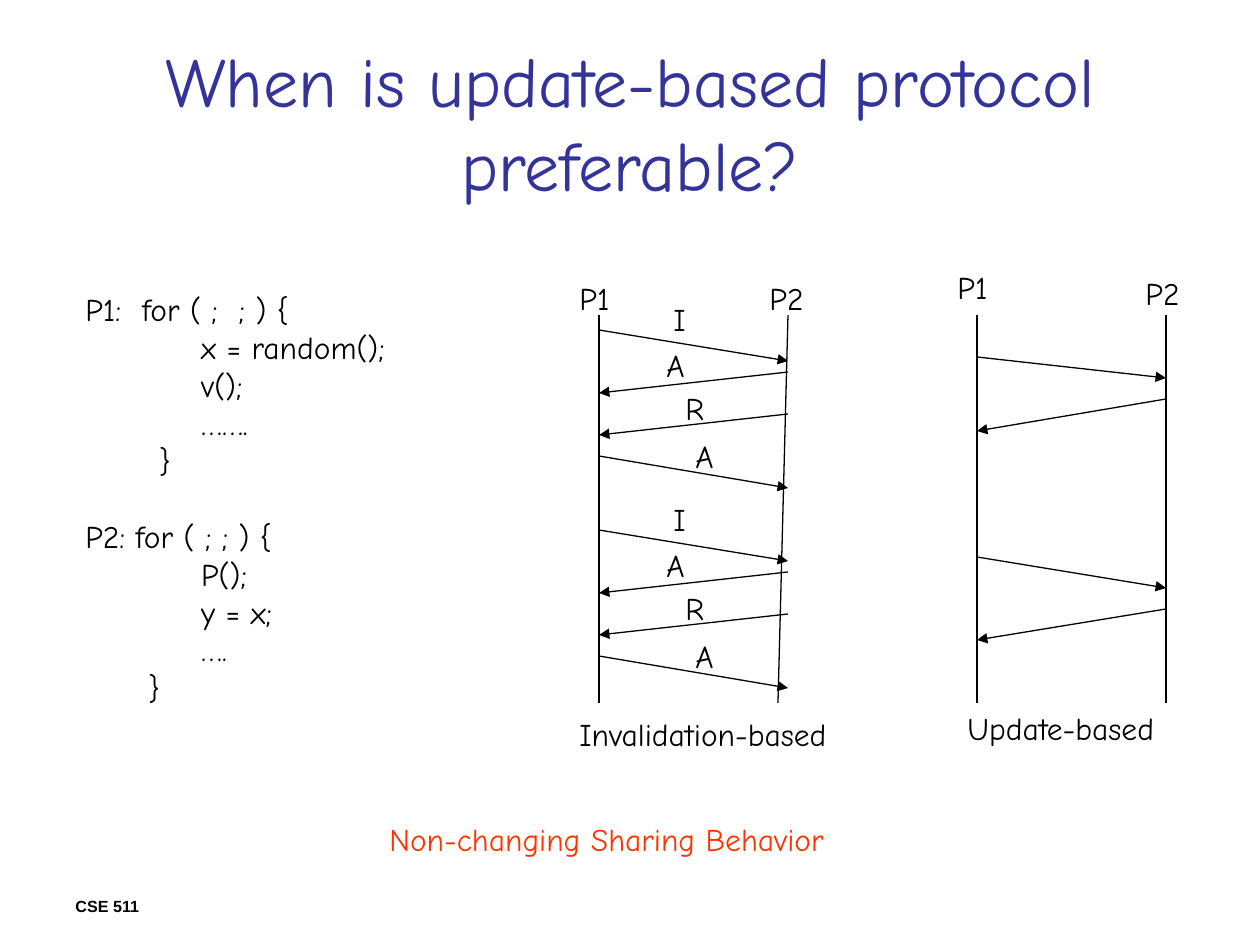
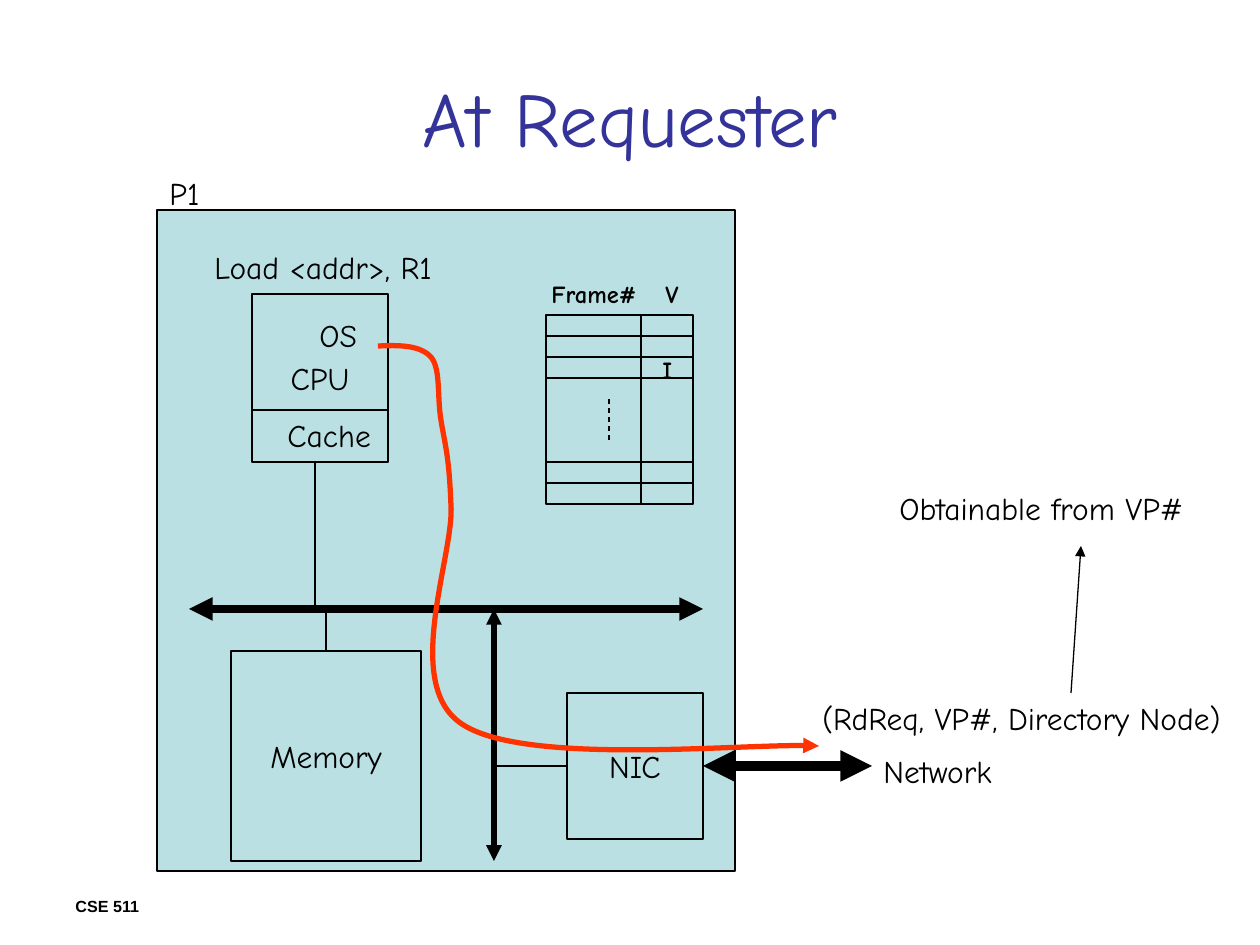
import lxml.etree
import pptx
import pptx.dml.color
import pptx.enum.dml
import pptx.enum.shapes
import pptx.enum.text
import pptx.oxml.ns
import pptx.util

SCALE = 914400 / 126  # EMU in one px
SLIDE_W, SLIDE_H = 1260, 945
INK, TITLE, ACCENT, PANEL = "000000", "333399", "FF3300", "BBE0E3"
BODY_FONT, FOOTER_FONT = "Comic Neue", "Arial"
THIN = 0.75
LINE_H = 50  # height of a one-line label
ALIGN = pptx.enum.text.PP_ALIGN
ANCHOR = pptx.enum.text.MSO_ANCHOR
qn = pptx.oxml.ns.qn


def px(n):
    return pptx.util.Emu(round(n * SCALE))


def rgb(value):
    return pptx.dml.color.RGBColor.from_string(value)


def write(tf, text, size=18, color=INK, font=BODY_FONT, bold=False, align=ALIGN.LEFT,
          anchor=ANCHOR.TOP, wrap=True, spacing=None):
    """Fill a text frame, one paragraph for each line of text."""
    tf.word_wrap = wrap
    tf.vertical_anchor = anchor
    for i, line in enumerate(text.split("\n")):
        p = tf.paragraphs[0] if i == 0 else tf.add_paragraph()
        p.alignment = align
        if spacing:
            p.line_spacing = spacing
        r = p.add_run()
        r.text = line
        r.font.name = font
        r.font.size = pptx.util.Pt(size)
        r.font.bold = bold
        r.font.color.rgb = rgb(color)


def label(shapes, text, x, y, w, h=LINE_H, **fmt):
    sp = shapes.add_textbox(px(x), px(y), px(w), px(h))
    write(sp.text_frame, text, **fmt)
    return sp


def rect(shapes, x, y, w, h, text=None):
    sp = shapes.add_shape(pptx.enum.shapes.MSO_SHAPE.RECTANGLE, px(x), px(y), px(w), px(h))
    sp.shadow.inherit = False
    sp.fill.solid()
    sp.fill.fore_color.rgb = rgb(PANEL)
    sp.line.color.rgb = rgb(INK)
    sp.line.width = pptx.util.Pt(THIN)
    if text:
        write(sp.text_frame, text, align=ALIGN.CENTER, anchor=ANCHOR.MIDDLE, wrap=False)
    return sp


def stroke(sp, color=INK, width=THIN, dash=False, head=False, tail=False):
    """Style a line or outline; head and tail put arrowheads at its start and end."""
    sp.line.color.rgb = rgb(color)
    sp.line.width = pptx.util.Pt(width)
    if dash:
        sp.line.dash_style = pptx.enum.dml.MSO_LINE.DASH
    ln = sp.element.spPr.find(qn("a:ln"))
    for tag, wanted in (("a:headEnd", head), ("a:tailEnd", tail)):
        if wanted:
            lxml.etree.SubElement(ln, qn(tag)).set("type", "triangle")


def line(shapes, x1, y1, x2, y2, **style):
    c = shapes.add_connector(pptx.enum.shapes.MSO_CONNECTOR.STRAIGHT,
                             px(x1), px(y1), px(x2), px(y2))
    stroke(c, **style)
    lxml.etree.SubElement(c.element.spPr, qn("a:effectLst"))
    return c


def curve(shapes, points, **style):
    """Draw a chain of cubic curves: a start, then three points for each curve."""
    builder = shapes.build_freeform(px(points[0][0]), px(points[0][1]), scale=1.0)
    builder.add_line_segments([(px(x), px(y)) for x, y in points[1:]], close=False)
    sp = builder.convert_to_shape()
    sp.shadow.inherit = False
    sp.fill.background()
    stroke(sp, **style)
    outline = next(sp.element.iter(qn("a:path")))
    segments = outline.findall(qn("a:lnTo"))
    for i in range(0, len(segments), 3):
        bezier = lxml.etree.SubElement(outline, qn("a:cubicBezTo"))
        for segment in segments[i:i + 3]:
            bezier.append(segment[0])
            outline.remove(segment)


def new_slide(prs, title, title_y, title_size):
    """Add a slide with the shared footer and title."""
    shapes = prs.slides.add_slide(prs.slide_layouts[6]).shapes
    label(shapes, "CSE 511", 63, 892, 294, 32, size=9.2, font=FOOTER_FONT, bold=True,
          spacing=0.9)
    label(shapes, title, 63, title_y, 1134, 158, size=title_size, color=TITLE,
          align=ALIGN.CENTER, anchor=ANCHOR.MIDDLE)
    return shapes


# Sequence diagrams
def sequence(shapes, x, y, w, h, heads, caption, messages, tags=(), lean=0):
    """Two lifelines with messages (runs right, start y, end y) between them."""
    group = shapes.add_group_shape().shapes
    line(group, x, y, x, y + h)
    line(group, x + w, y, x + w - lean, y + h)
    for rightward, start, end in messages:
        x1, x2 = (x, x + w) if rightward else (x + w, x)
        line(group, x1, y + start, x2, y + end, tail=True)
    for text, dx, dy in tags:
        label(group, text, x + dx, y + dy, 50)
    for text, dx, dy in heads:
        label(group, text, x + dx, y + dy, 70)
    text, dx, dy, width = caption
    label(group, text, x + dx, y + dy, width)


def protocol_slide(prs):
    shapes = new_slide(prs, "When is update-based protocol preferable?", 42, 40)

    # Code of both processes
    code = "\n".join((
        "P1:  for ( ;  ; ) {",
        "           x = random();",
        "           v();",
        "           …….",
        "       }",
        "P2: for ( ; ; ) {",
        "           P();",
        "           y = x;",
        "           ….",
        "      }"))
    listing = label(shapes, code, 73, 284, 328, 428)
    listing.text_frame.paragraphs[5].space_before = pptx.util.Pt(21.6)

    # Invalidation: the same four messages in each of two rounds
    rounds = (0, 200)
    exchange = ((True, 15, 46), (False, 57, 78), (False, 99, 120), (True, 141, 173))
    names = (("I", 62, -21), ("A", 55, 25), ("R", 74, 68), ("A", 84, 116))
    sequence(shapes, 599, 315, 189, 388,
             heads=(("P1", -32, -42), ("P2", 158, -42)),
             caption=("Invalidation-based", -32, 394, 290),
             messages=[(right, a + dy, b + dy) for dy in rounds for right, a, b in exchange],
             tags=[(text, dx, y + dy) for dy in rounds for text, dx, y in names],
             lean=10)

    # Update
    sequence(shapes, 977, 315, 189, 388,
             heads=(("P1", -32, -53), ("P2", 156, -47)),
             caption=("Update-based", -22, 388, 230),
             messages=((True, 42, 63), (False, 84, 116), (True, 242, 273), (False, 294, 325)))

    label(shapes, "Non-changing Sharing Behavior", 377, 814, 480, color=ACCENT)


# Requester node
def page_table(shapes, x, y, w, h):
    row_h, split = h / 9, 95
    rect(shapes, x, y, w, h)
    for row in (1, 2, 3, 7, 8):
        line(shapes, x, y + row * row_h, x + w, y + row * row_h)
    line(shapes, x + split, y, x + split, y + h)
    line(shapes, x + 63, y + 4 * row_h, x + 63, y + 6 * row_h, dash=True)
    for text, dx, dy, width in (("Frame#", -7, -42, 120), ("V", 107, -42, 50),
                                ("I", 104, 34, 45)):
        label(shapes, text, x + dx, y + dy, width, 43, size=14, bold=True)


def processor(shapes, x, y, w, h):
    rect(shapes, x, y, w, h, "CPU")
    line(shapes, x, y + 116, x + w, y + 116)
    label(shapes, "Cache", x + 23, y + 116, 120)
    label(shapes, "OS", x + 55, y + 16, 75)
    label(shapes, "Load <addr>, R1", x - 50, y - 52, 260)


def node(shapes, x, y, w, h):
    """The machine with its buses; returns the network interface."""
    bus_y, io_x = y + 399, x + 337
    rect(shapes, x, y, w, h)
    label(shapes, "P1", x, y - 42, 70)
    processor(shapes, x + 95, y + 84, 136, 168)
    page_table(shapes, x + 389, y + 105, 147, 189)

    # Memory bus and I/O bus
    line(shapes, x + 32, bus_y, x + 546, bus_y, width=4.5, head=True, tail=True)
    line(shapes, x + 158, y + 252, x + 158, bus_y)
    line(shapes, io_x, bus_y, io_x, y + 651, width=3, head=True, tail=True)

    # Devices on the buses
    nic = rect(shapes, x + 410, y + 483, 136, 146, "NIC")
    line(shapes, io_x, y + 556, x + 410, y + 556).end_connect(nic, 1)
    memory = rect(shapes, x + 74, y + 441, 190, 210, "Memory")
    line(shapes, x + 169, bus_y, x + 169, y + 441).end_connect(memory, 0)
    return nic


def requester_slide(prs):
    shapes = new_slide(prs, "At Requester", 38, 44)
    nic = node(shapes, 157, 210, 578, 661)

    # Network link
    link = line(shapes, 703, 766, 872, 766, width=6, head=True, tail=True)
    link.begin_connect(nic, 3)
    label(shapes, "Network", 871, 746, 150)

    # Path of the request from the OS to the network
    curve(shapes, ((378, 346),
                   (399, 345), (420, 345), (431, 357),
                   (441, 369), (437, 396), (441, 420),
                   (445, 445), (449, 454), (451, 504),
                   (455, 554), (401, 684), (462, 724),
                   (523, 765), (760, 742), (819, 746)),
          color=ACCENT, width=3, tail=True)

    # Request and its note
    label(shapes, "(RdReq, VP#, Directory Node)", 810, 693, 440)
    line(shapes, 1071, 693, 1081, 546, tail=True)
    label(shapes, "Obtainable from VP#", 887, 483, 330)


def main():
    prs = pptx.Presentation()
    prs.slide_width, prs.slide_height = px(SLIDE_W), px(SLIDE_H)
    protocol_slide(prs)
    requester_slide(prs)
    prs.save("out.pptx")


if __name__ == "__main__":
    main()
